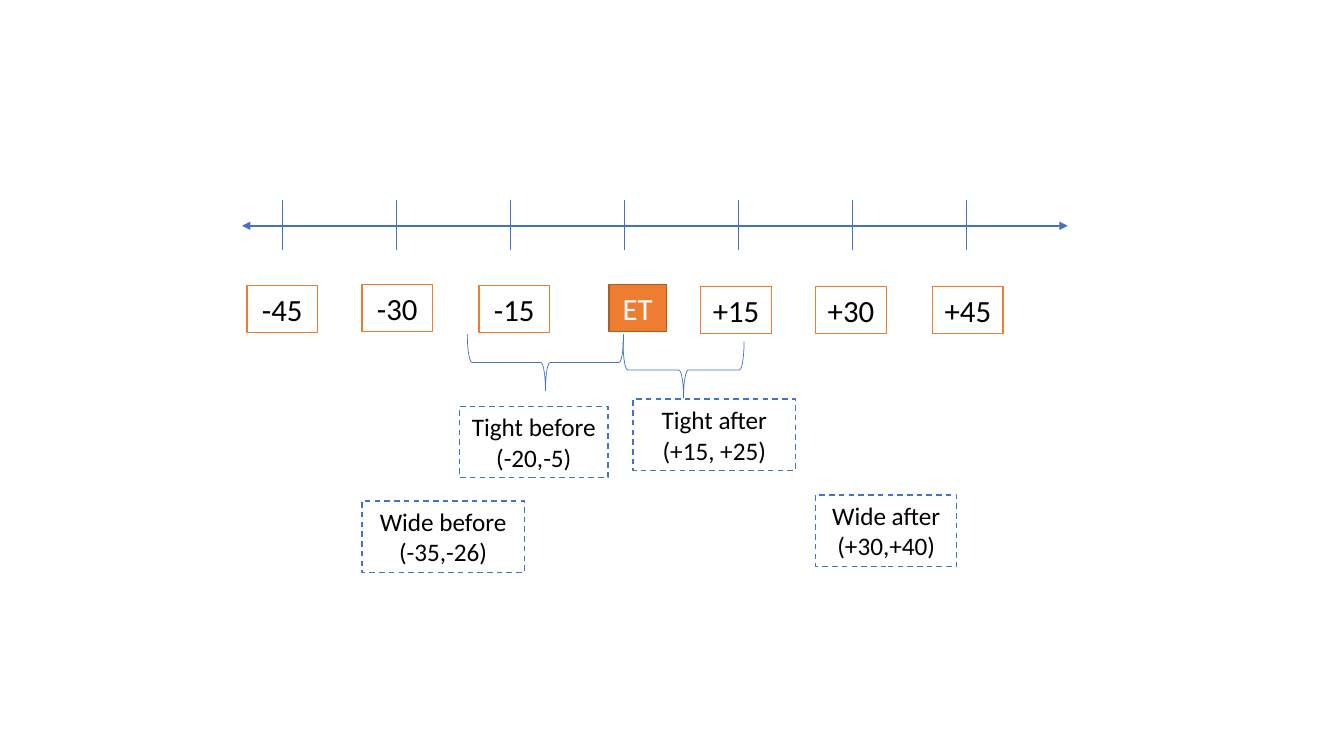
from lxml import etree
from pptx import Presentation
from pptx.dml.color import RGBColor
from pptx.enum.dml import MSO_LINE
from pptx.enum.shapes import MSO_CONNECTOR, MSO_SHAPE
from pptx.enum.text import MSO_ANCHOR, PP_ALIGN
from pptx.oxml.ns import qn
from pptx.util import Inches, Pt

COLORS = {
    "blue": "4472C4",
    "orange": "ED7D31",
    "dark orange": "AF5C24",
    "white": "FFFFFF",
    "black": "000000",
}


def add_box(text, left, top, width, height, size=22, color="black",
            fill="white", outline="orange", dash=None):
    shape = slide.shapes.add_shape(MSO_SHAPE.RECTANGLE, Inches(left), Inches(top),
                                   Inches(width), Inches(height))
    shape.shadow.inherit = False
    shape.fill.solid()
    shape.fill.fore_color.rgb = RGBColor.from_string(COLORS[fill])
    shape.line.color.rgb = RGBColor.from_string(COLORS[outline])
    shape.line.width = Pt(1)
    if dash:
        shape.line.dash_style = dash
    frame = shape.text_frame
    frame.word_wrap = False
    frame.vertical_anchor = MSO_ANCHOR.MIDDLE
    frame.text = text
    for paragraph in frame.paragraphs:
        paragraph.alignment = PP_ALIGN.CENTER
        paragraph.font.name = "Calibri"
        paragraph.font.size = Pt(size)
        paragraph.font.color.rgb = RGBColor.from_string(COLORS[color])


def add_line(x1, y1, x2, y2, width):
    line = slide.shapes.add_connector(MSO_CONNECTOR.STRAIGHT, Inches(x1), Inches(y1),
                                      Inches(x2), Inches(y2))
    line.line.color.rgb = RGBColor.from_string(COLORS["blue"])
    line.line.width = Pt(width)
    etree.SubElement(line._element.spPr, qn("a:effectLst"))
    return line


presentation = Presentation()
presentation.slide_width = Inches(13.33)
presentation.slide_height = Inches(7.5)
slide = presentation.slides.add_slide(presentation.slide_layouts[6])

# Time axis with an arrowhead at each end
axis = add_line(2.4, 2.24, 10.59, 2.24, 1.5)
for end in ("a:headEnd", "a:tailEnd"):
    etree.SubElement(axis.line._get_or_add_ln(), qn(end), type="triangle")

# Evenly spaced tick marks
for index in range(7):
    tick = 2.8 + 1.13 * index
    add_line(tick, 1.98, tick, 2.48, 0.5)

# Day labels, with the event day in the middle
add_box("ET", 6.04, 2.82, 0.57, 0.47, color="white", fill="orange",
        outline="dark orange")
for day, left, top in [("-45", 2.45, 2.83), ("-30", 3.59, 2.82), ("-15", 4.75, 2.83),
                       ("+15", 6.95, 2.84), ("+30", 8.09, 2.84), ("+45", 9.25, 2.84)]:
    add_box(day, left, top, 0.7, 0.47)

# Braces, turned to point down at the tight windows
for left, top, span in [(5.13, 2.82, 1.55), (6.5, 3.07, 1.2)]:
    brace = slide.shapes.add_shape(MSO_SHAPE.LEFT_BRACE, Inches(left), Inches(top),
                                   Inches(0.56), Inches(span))
    brace.rotation = 270
    brace.shadow.inherit = False
    brace.fill.background()
    brace.line.color.rgb = RGBColor.from_string(COLORS["blue"])
    brace.line.width = Pt(0.5)

# Window descriptions
for text, left, top, width in [("Tight before\n(-20,-5)", 4.56, 4.03, 1.47),
                               ("Tight after\n(+15, +25)", 6.28, 3.96, 1.61),
                               ("Wide before\n(-35,-26)", 3.59, 4.97, 1.61),
                               ("Wide after\n(+30,+40)", 8.09, 4.91, 1.4)]:
    add_box(text, left, top, width, 0.71, size=18, outline="blue", dash=MSO_LINE.DASH)

presentation.save("out.pptx")
